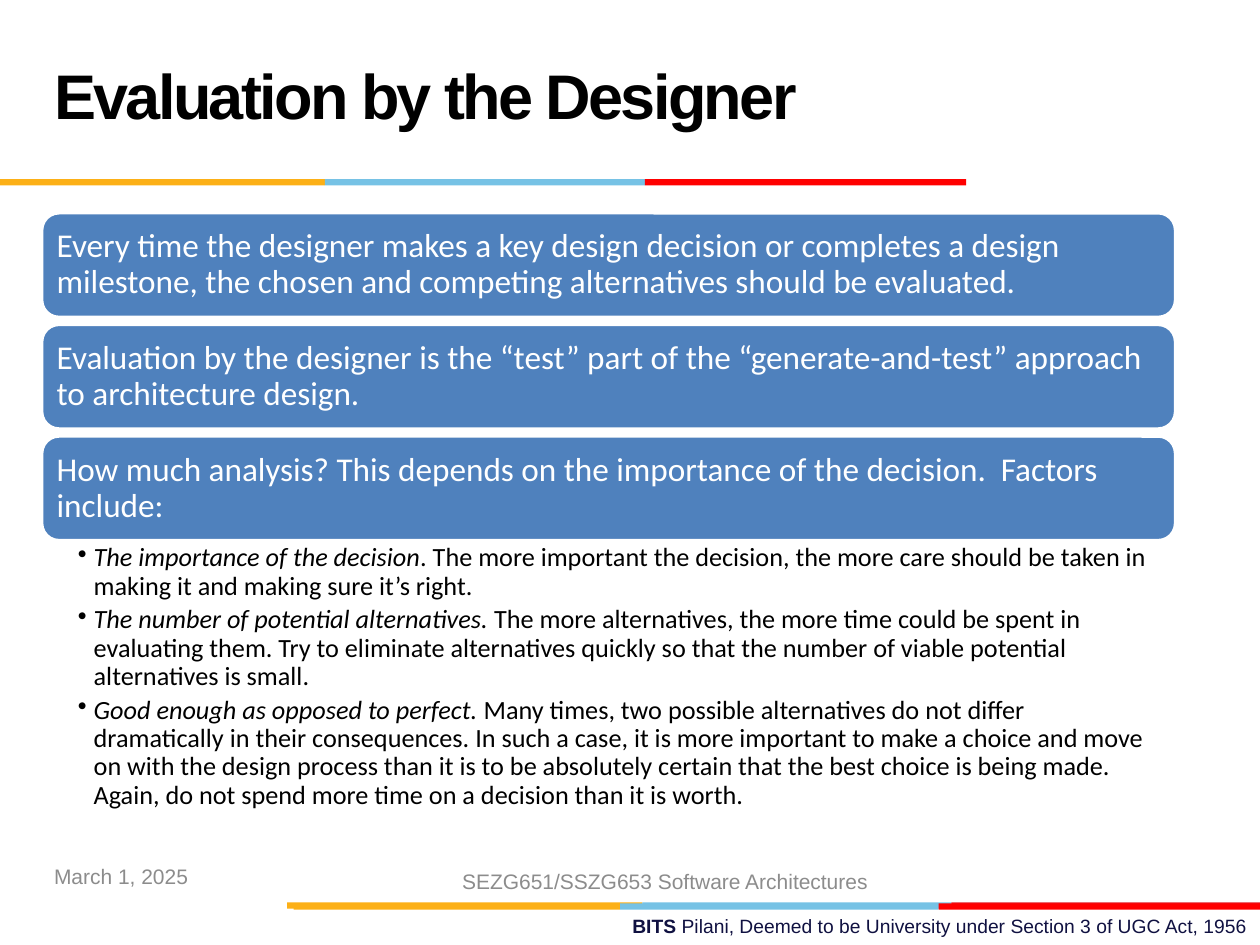
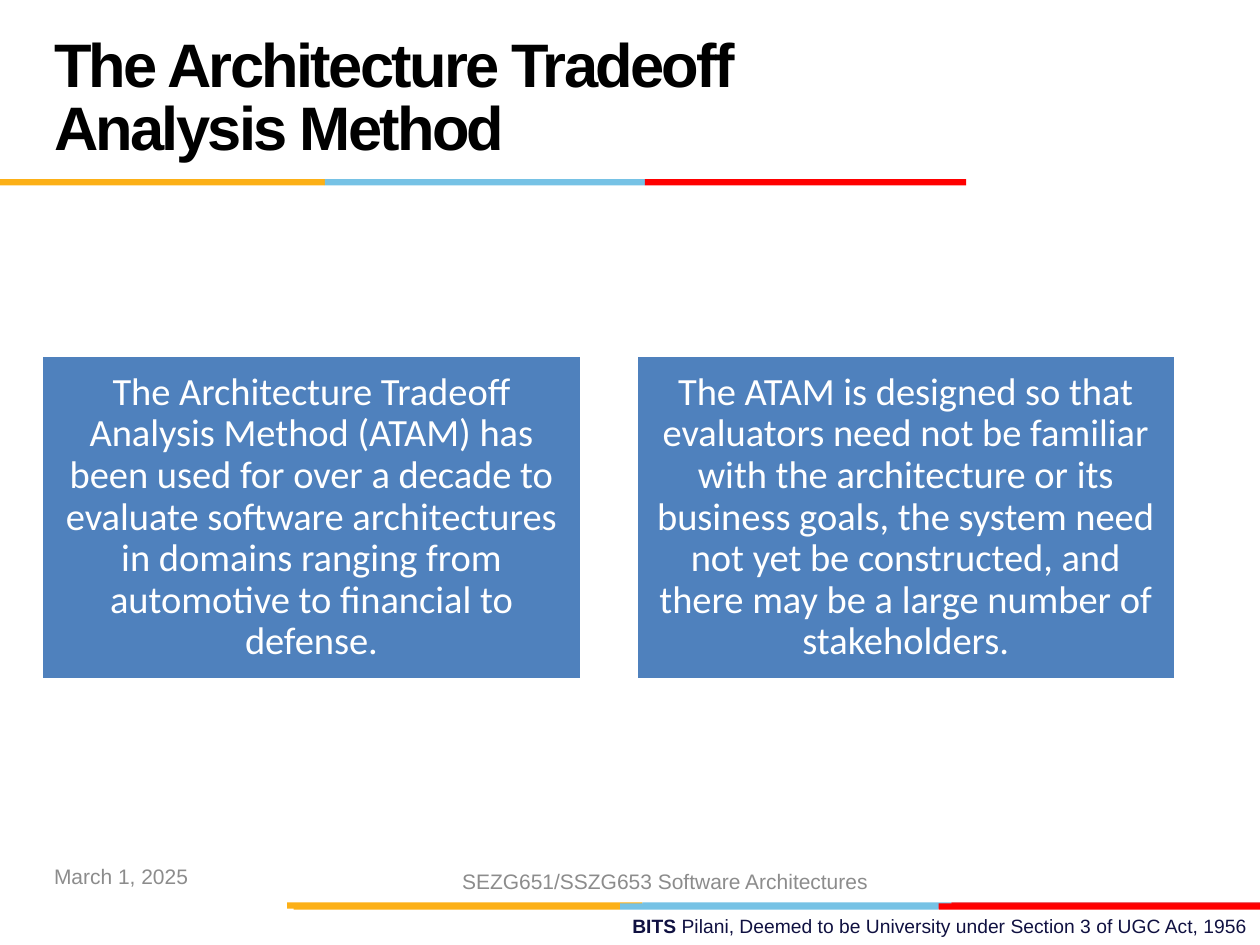
from dataclasses import dataclass

from lxml.etree import SubElement
from pptx import Presentation
from pptx.dml.color import RGBColor
from pptx.enum.shapes import MSO_SHAPE
from pptx.enum.text import MSO_ANCHOR, PP_ALIGN
from pptx.oxml.ns import qn
from pptx.shapes.autoshape import Shape
from pptx.slide import Slide
from pptx.text.text import TextFrame
from pptx.util import Cm, Pt


@dataclass(frozen=True)
class Theme:
    heading_font: str = "Arial"
    body_font: str = "Calibri"
    gold: str = "FCB017"
    sky: str = "76C2E5"
    red: str = "FF0000"
    dark_red: str = "E31C24"
    blue: str = "4F81BD"
    navy: str = "101141"
    grey: str = "8C8C8C"
    black: str = "000000"
    white: str = "FFFFFF"
    title_size: float = 36
    long_title_size: float = 35.1
    title_leading: float = 36
    card_size: float = 22
    statement_size: float = 19
    bullet_size: float = 15
    footer_size: float = 12
    imprint_size: float = 11


THEME = Theme()


@dataclass(frozen=True)
class Area:
    """A rectangle in centimetres."""
    left: float
    top: float
    width: float
    height: float


@dataclass(frozen=True)
class Style:
    size: float
    color: str
    font: str = THEME.body_font
    align: PP_ALIGN = PP_ALIGN.LEFT
    line_spacing: float | Pt = 0.9
    tracking: float = 0


@dataclass(frozen=True)
class Span:
    text: str
    bold: bool = False
    italic: bool = False


@dataclass(frozen=True)
class Band:
    """Three colours that meet at the given horizontal edges."""
    top: float
    edges: tuple[float, float, float, float]
    colors: tuple[str, str, str]


@dataclass(frozen=True)
class Label:
    area: Area
    spans: tuple[Span, ...]
    style: Style
    anchor: MSO_ANCHOR = MSO_ANCHOR.MIDDLE


BAND_HEIGHT = 0.13
CONTENT_LEFT = 0.84
CONTENT_WIDTH = 22.86
TITLE_AREA = Area(CONTENT_LEFT, 0.43, 17.58, 3.18)

BANDS = (
    Band(18.19, (5.79, 12.95, 19.18, 25.4), (THEME.gold, THEME.sky, THEME.dark_red)),
    Band(18.21, (5.92, 12.5, 18.92, 25.4), (THEME.gold, THEME.sky, THEME.red)),
    Band(3.61, (0, 6.55, 13, 19.48), (THEME.gold, THEME.sky, THEME.red)),
)

FOOTERS = (
    Label(
        Area(9.09, 18.31, 16.31, 0.74),
        (Span("BITS ", bold=True),
         Span("Pilani, Deemed to be University under Section 3 of UGC Act, 1956")),
        Style(THEME.imprint_size, THEME.navy, THEME.heading_font, PP_ALIGN.RIGHT, 1.0),
        MSO_ANCHOR.TOP,
    ),
    Label(
        Area(CONTENT_LEFT, 17.15, 5.92, 1.02),
        (Span("March 1, 2025"),),
        Style(THEME.footer_size, THEME.grey, THEME.heading_font, line_spacing=1.0),
    ),
    Label(
        Area(8.84, 17.25, 9.14, 1.02),
        (Span("SEZG651/SSZG653 Software Architectures"),),
        Style(THEME.footer_size, THEME.grey, THEME.heading_font, PP_ALIGN.CENTER, 1.0),
    ),
)

STATEMENTS = (
    "Every time the designer makes a key design decision or completes a design "
    "milestone, the chosen and competing alternatives should be evaluated.",
    "Evaluation by the designer is the “test” part of the “generate-and-test” "
    "approach to architecture design.",
    "How much analysis? This depends on the importance of the decision.  "
    "Factors include:",
)

FACTORS = (
    ("The importance of the decision",
     ". The more important the decision, the more care should be taken in making it "
     "and making sure it’s right."),
    ("The number of potential alternatives.",
     " The more alternatives, the more time could be spent in evaluating them. Try to "
     "eliminate alternatives quickly so that the number of viable potential "
     "alternatives is small."),
    ("Good enough as opposed to perfect.",
     " Many times, two possible alternatives do not differ dramatically in their "
     "consequences. In such a case, it is more important to make a choice and move on "
     "with the design process than it is to be absolutely certain that the best choice "
     "is being made. Again, do not spend more time on a decision than it is worth."),
)

METHOD_CARDS = (
    "The Architecture Tradeoff Analysis Method (ATAM) has been used for over a decade "
    "to evaluate software architectures in domains ranging from automotive to "
    "financial to defense.",
    "The ATAM is designed so that evaluators need not be familiar with the "
    "architecture or its business goals, the system need not yet be constructed, and "
    "there may be a large number of stakeholders.",
)


def place(area: Area) -> tuple[Cm, Cm, Cm, Cm]:
    return Cm(area.left), Cm(area.top), Cm(area.width), Cm(area.height)


def set_frame(frame: TextFrame, anchor: MSO_ANCHOR,
              left: float = 0.25, top: float = 0.13, right: float = 0.25) -> None:
    """Wrap the text and set its anchor and margins; the bottom equals the top."""
    frame.word_wrap = True
    frame.vertical_anchor = anchor
    frame.margin_left, frame.margin_right = Cm(left), Cm(right)
    frame.margin_top = frame.margin_bottom = Cm(top)


def write_paragraph(frame: TextFrame, index: int, spans: tuple[Span, ...],
                    style: Style, bullet: str = "", space_after: float = 0) -> None:
    para = frame.add_paragraph() if index else frame.paragraphs[0]
    para.alignment = style.align
    para.line_spacing = style.line_spacing
    para.space_after = Pt(space_after)
    if bullet:
        properties = para._p.get_or_add_pPr()
        properties.set("marL", str(Cm(0.32)))
        properties.set("indent", str(-Cm(0.32)))
        SubElement(properties, qn("a:buChar")).set("char", bullet)
    for span in spans:
        run = para.add_run()
        run.text = span.text
        font = run.font
        font.name, font.size = style.font, Pt(style.size)
        font.bold, font.italic = span.bold, span.italic
        font.color.rgb = RGBColor.from_string(style.color)
        if style.tracking:
            font._element.set("spc", str(round(style.tracking * 100)))


def add_block(page: Slide, kind: MSO_SHAPE, area: Area, fill: str,
              outline: str = "") -> Shape:
    block = page.shapes.add_shape(kind, *place(area))
    block.shadow.inherit = False
    block.fill.solid()
    block.fill.fore_color.rgb = RGBColor.from_string(fill)
    if outline:
        block.line.color.rgb = RGBColor.from_string(outline)
        block.line.width = Pt(2)
    else:
        block.line.fill.background()
    return block


def add_panel(page: Slide, kind: MSO_SHAPE, area: Area, text: str,
              style: Style, margin: float) -> None:
    """Draw a blue shape outlined in white, with one paragraph inside."""
    panel = add_block(page, kind, area, THEME.blue, THEME.white)
    set_frame(panel.text_frame, MSO_ANCHOR.MIDDLE, margin, margin, margin)
    write_paragraph(panel.text_frame, 0, (Span(text),), style)


def add_label(page: Slide, label: Label) -> None:
    box = page.shapes.add_textbox(*place(label.area))
    set_frame(box.text_frame, label.anchor)
    write_paragraph(box.text_frame, 0, label.spans, label.style)


def add_band(page: Slide, band: Band) -> None:
    for start, end, color in zip(band.edges, band.edges[1:], band.colors):
        area = Area(start, band.top, end - start, BAND_HEIGHT)
        add_block(page, MSO_SHAPE.RECTANGLE, area, color)


def add_page(deck: Presentation, title: str, title_size: float) -> Slide:
    """Add a blank slide with the shared bands, footers and title."""
    page = deck.slides.add_slide(deck.slide_layouts[6])
    for band in BANDS:
        add_band(page, band)
    for footer in FOOTERS:
        add_label(page, footer)
    style = Style(title_size, THEME.black, THEME.heading_font,
                  line_spacing=Pt(THEME.title_leading), tracking=-1.5)
    add_label(page, Label(TITLE_AREA, (Span(title, bold=True),), style))
    return page


def build_designer_page(deck: Presentation) -> None:
    page = add_page(deck, "Evaluation by the Designer", THEME.title_size)
    first_top, height, pitch = 4.29, 2.11, 2.25
    statement_style = Style(THEME.statement_size, THEME.white)
    for index, statement in enumerate(STATEMENTS):
        area = Area(CONTENT_LEFT, first_top + index * pitch, CONTENT_WIDTH, height)
        add_panel(page, MSO_SHAPE.ROUNDED_RECTANGLE, area, statement,
                  statement_style, 0.2)

    box = page.shapes.add_textbox(*place(Area(CONTENT_LEFT, 10.9, CONTENT_WIDTH, 5.69)))
    set_frame(box.text_frame, MSO_ANCHOR.TOP, left=0.73, top=0.07, right=0.38)
    factor_style = Style(THEME.bullet_size, THEME.black)
    for index, (factor, explanation) in enumerate(FACTORS):
        spans = (Span(factor, italic=True), Span(explanation))
        write_paragraph(box.text_frame, index, spans, factor_style,
                        bullet="•", space_after=3)


def build_method_page(deck: Presentation) -> None:
    page = add_page(deck, "The Architecture Tradeoff Analysis Method",
                    THEME.long_title_size)
    card_width = 10.88
    pitch = CONTENT_WIDTH - card_width
    card_style = Style(THEME.card_size, THEME.white, align=PP_ALIGN.CENTER)
    for index, text in enumerate(METHOD_CARDS):
        area = Area(CONTENT_LEFT + index * pitch, 7.17, card_width, 6.53)
        add_panel(page, MSO_SHAPE.RECTANGLE, area, text, card_style, 0.23)


def main() -> None:
    deck = Presentation()
    deck.slide_width, deck.slide_height = Cm(25.4), Cm(19.05)
    build_designer_page(deck)
    build_method_page(deck)
    deck.save("out.pptx")


if __name__ == "__main__":
    main()
